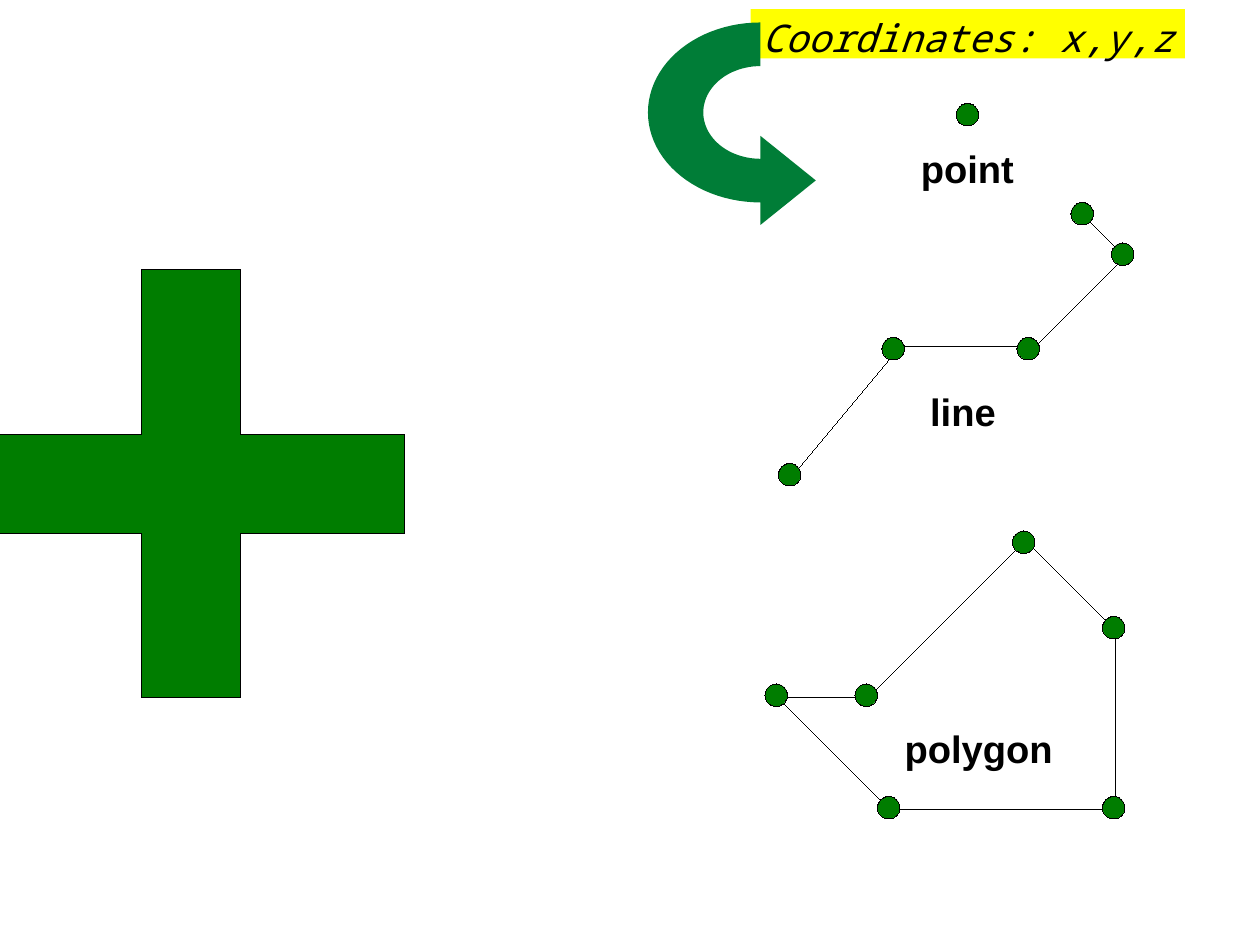
from dataclasses import dataclass
from math import cos, pi, sin
from typing import NamedTuple

from pptx import Presentation
from pptx import util as u
from pptx.dml.color import RGBColor
from pptx.enum import shapes, text


@dataclass(frozen=True)
class Theme:
    green: str = "007D00"
    arrow: str = "007D37"
    yellow: str = "FFFF00"
    ink: str = "000000"
    sans: str = "Arial"
    mono: str = "Noto Sans Mono"
    size: int = 24
    hair: float = 0.01


class Point(NamedTuple):
    x: float
    y: float


class Label(NamedTuple):
    name: str
    x: float
    y: float
    width: float


class Figure(NamedTuple):
    nodes: list[Point]
    dots: list[Point]
    closed: bool


THEME = Theme()
DOT = 0.5
FIGURES = [
    Figure(
        [Point(17.3, 15.5), Point(19.8, 18), Point(24.8, 18),
         Point(24.8, 14), Point(22.8, 12), Point(19.3, 15.5)],
        [Point(17, 15.2), Point(19.5, 17.7), Point(24.5, 17.7),
         Point(24.5, 13.7), Point(22.5, 11.8), Point(19, 15.2)],
        True,
    ),
    Figure(
        [Point(17.5, 10.7), Point(20, 7.7), Point(23, 7.7),
         Point(25, 5.7), Point(24, 4.7)],
        [Point(17.3, 10.3), Point(19.6, 7.5), Point(22.6, 7.5),
         Point(24.7, 5.4), Point(23.8, 4.5)],
        False,
    ),
    Figure([], [Point(21.25, 2.3)], False),
]
LABELS = [
    Label("point", 20, 3.1, 3),
    Label("line", 19.9, 8.5, 3),
    Label("polygon", 19, 16, 5.5),
]


def paint(shape, fill: str | None, line: str | None) -> None:
    shape.shadow.inherit = False
    if fill:
        shape.fill.solid()
        shape.fill.fore_color.rgb = RGBColor.from_string(fill)
    else:
        shape.fill.background()
    if line:
        shape.line.color.rgb = RGBColor.from_string(line)
        shape.line.width = u.Pt(THEME.hair)
    else:
        shape.line.fill.background()


def trace(slide, nodes: list[Point], closed: bool):
    pts = [(u.Cm(p.x), u.Cm(p.y)) for p in nodes]
    pen = slide.shapes.build_freeform(*pts[0])
    pen.add_line_segments(pts[1:], close=closed)
    return pen.convert_to_shape()


def stamp(slide, kind, x: float, y: float, side: float):
    shape = slide.shapes.add_shape(kind, u.Cm(x), u.Cm(y), u.Cm(side), u.Cm(side))
    paint(shape, THEME.green, THEME.ink)
    return shape


def write(shape, words: str, face: str, bold: bool, slant: bool) -> None:
    frame = shape.text_frame
    frame.text = words
    frame.word_wrap = True
    frame.auto_size = text.MSO_AUTO_SIZE.NONE
    frame.vertical_anchor = text.MSO_ANCHOR.TOP
    frame.margin_left = frame.margin_right = 0
    para = frame.paragraphs[0]
    para.alignment = text.PP_ALIGN.CENTER
    font = para.font
    font.name, font.size = face, u.Pt(THEME.size)
    font.bold, font.italic = bold, slant
    font.color.rgb = RGBColor.from_string(THEME.ink)


def arc(mid: Point, wide: float, high: float, steps: int = 48) -> list[Point]:
    turns = [pi * i / steps for i in range(steps + 1)]
    return [Point(mid.x - wide * sin(t), mid.y - high * cos(t)) for t in turns]


def arrow(slide) -> None:
    mid = Point(16.9, 2.5)
    outer = arc(mid, 2.5, 2)
    inner = arc(mid, 1.27, 1.03)
    head = [Point(mid.x, 5), Point(18.13, 4.01), Point(mid.x, 3.02)]
    paint(trace(slide, outer + head + inner[::-1], True), THEME.arrow, None)


def main() -> None:
    deck = Presentation()
    deck.slide_width, deck.slide_height = u.Cm(28), u.Cm(21)
    slide = deck.slides.add_slide(deck.slide_layouts[5])

    title = slide.shapes.title
    title.left, title.top = u.Cm(16.68), u.Cm(0.2)
    title.width, title.height = u.Cm(9.65), u.Cm(1.1)
    title.fill.solid()
    title.fill.fore_color.rgb = RGBColor.from_string(THEME.yellow)
    write(title, "Coordinates: x,y,z", THEME.mono, False, True)

    for fig in FIGURES:
        if fig.nodes:
            paint(trace(slide, fig.nodes, fig.closed), None, THEME.ink)
        for dot in fig.dots:
            stamp(slide, shapes.MSO_SHAPE.OVAL, dot.x, dot.y, DOT)

    for label in LABELS:
        box = slide.shapes.add_textbox(
            u.Cm(label.x), u.Cm(label.y), u.Cm(label.width), u.Cm(1.2))
        write(box, label.name, THEME.sans, True, False)

    cross = stamp(slide, shapes.MSO_SHAPE.CROSS, -0.5, 6, 9.5)
    cross.adjustments[0] = 0.384
    arrow(slide)
    deck.save("out.pptx")


if __name__ == "__main__":
    main()
